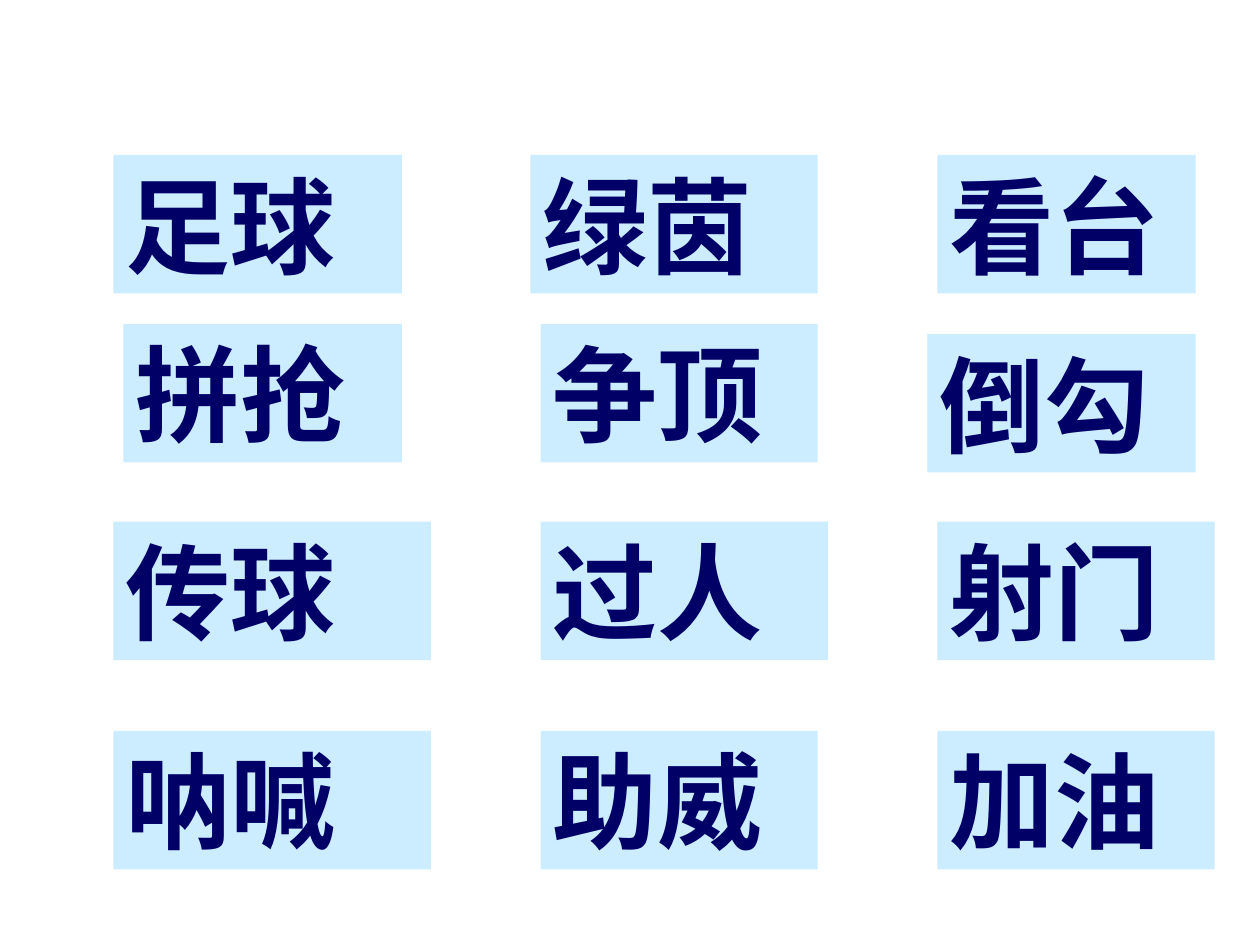
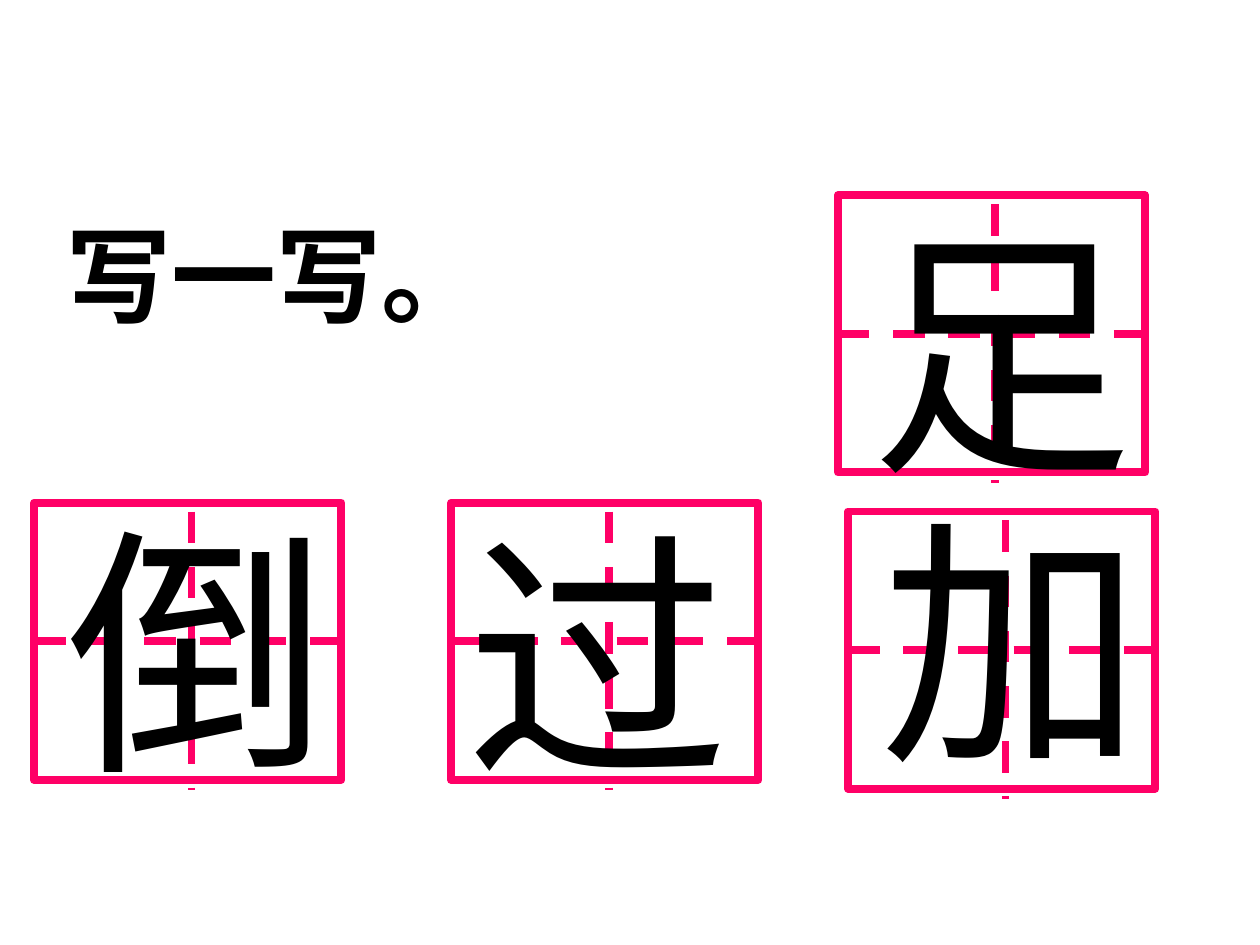
import pptx
import pptx.dml.color
import pptx.enum.dml
import pptx.enum.shapes
import pptx.enum.text
import pptx.oxml
import pptx.util
from pptx.util import Inches

NAVY, PALE_BLUE, PINK, BLACK = "000066", "CCECFF", "FF0066", "000000"
DRAWING_NS = 'xmlns:a="http://schemas.openxmlformats.org/drawingml/2006/main"'


def color(hex_string):
    return pptx.dml.color.RGBColor.from_string(hex_string)


def write(shape, text, font_name, size, hex_string, bold=False):
    """Put left-aligned, top-anchored text in a shape and return its run."""
    frame = shape.text_frame
    frame.text = text
    frame.word_wrap = True
    frame.vertical_anchor = pptx.enum.text.MSO_ANCHOR.TOP
    paragraph = frame.paragraphs[0]
    paragraph.alignment = pptx.enum.text.PP_ALIGN.LEFT
    run = paragraph.runs[0]
    run.font.name = font_name
    run.font.size = pptx.util.Pt(size)
    run.font.bold = bold
    run.font.color.rgb = color(hex_string)
    return run


presentation = pptx.Presentation()
presentation.slide_width = Inches(10)
presentation.slide_height = Inches(7.5)
blank_layout = presentation.slide_layouts[6]
RECTANGLE = pptx.enum.shapes.MSO_SHAPE.RECTANGLE

# Slide 1: word cards, each as (word, left, top, width)
slide = presentation.slides.add_slide(blank_layout)
word_cards = [
    ("足球", 0.9, 1.23, 2.29), ("绿茵", 4.21, 1.23, 2.28), ("看台", 7.44, 1.23, 2.05),
    ("拼抢", 0.98, 2.57, 2.21), ("争顶", 4.29, 2.57, 2.2), ("倒勾", 7.36, 2.65, 2.13),
    ("传球", 0.9, 4.14, 2.52), ("过人", 4.29, 4.14, 2.28), ("射门", 7.44, 4.14, 2.2),
    ("呐喊", 0.9, 5.8, 2.52), ("助威", 4.29, 5.8, 2.2), ("加油", 7.44, 5.8, 2.2),
]
for word, left, top, width in word_cards:
    card = slide.shapes.add_shape(
        RECTANGLE, Inches(left), Inches(top), Inches(width), Inches(1.1))
    card.shadow.inherit = False
    card.fill.solid()
    card.fill.fore_color.rgb = color(PALE_BLUE)
    card.line.fill.background()
    write(card, word, "DejaVu Sans", 60, NAVY, bold=True)

# Slide 2: writing squares
slide = presentation.slides.add_slide(blank_layout)
title = slide.shapes.add_textbox(Inches(0.43), Inches(1.62), Inches(5.12), Inches(1.1))
title_run = write(title, "写一写。", "Arial", 60, BLACK, bold=True)
title_fill = title_run.font.fill._xPr.find(pptx.oxml.ns.qn("a:solidFill"))
title_fill.addnext(pptx.oxml.parse_xml(
    f'<a:effectLst {DRAWING_NS}><a:outerShdw dist="25400" dir="2700000">'
    '<a:srgbClr val="EEECE1"/></a:outerShdw></a:effectLst>'))

# Each as (character, square left, square top, text left, text top, text width)
writing_squares = [
    ("倒", 0.27, 3.99, 0.43, 3.83, 2.36),
    ("过", 3.58, 3.99, 3.6, 3.87, 1.95),
    ("加", 6.73, 4.06, 6.89, 3.75, 2.28),
    ("足", 6.65, 1.55, 6.81, 1.46, 2.28),
]
square_width, square_height = 2.44, 2.2
for character, left, top, text_left, text_top, text_width in writing_squares:
    group = slide.shapes.add_group_shape()
    square = group.shapes.add_shape(
        RECTANGLE, Inches(left), Inches(top), Inches(square_width), Inches(square_height))
    square.shadow.inherit = False
    square.fill.background()
    square.line.color.rgb = color(PINK)
    square.line.width = pptx.util.Pt(4.5)

    middle = top + square_height / 2
    guides = [
        (left, middle, left + square_width, middle),
        (left + 1.25, top + 0.07, left + 1.25, top + 2.28),
    ]
    connectors = []
    for ends in guides:
        guide = group.shapes.add_connector(
            pptx.enum.shapes.MSO_CONNECTOR.STRAIGHT, *[Inches(end) for end in ends])
        guide.line.color.rgb = color(PINK)
        guide.line.width = pptx.util.Pt(4.5)
        guide.line.dash_style = pptx.enum.dml.MSO_LINE.DASH
        guide._element.spPr.append(pptx.oxml.parse_xml(f"<a:effectLst {DRAWING_NS}/>"))
        connectors.append(guide)
    connectors[0].begin_connect(square, 1)
    connectors[0].end_connect(square, 3)

    label = slide.shapes.add_textbox(
        Inches(text_left), Inches(text_top), Inches(text_width), Inches(2.6))
    write(label, character, "Arial", 150, BLACK)

presentation.save("out.pptx")
